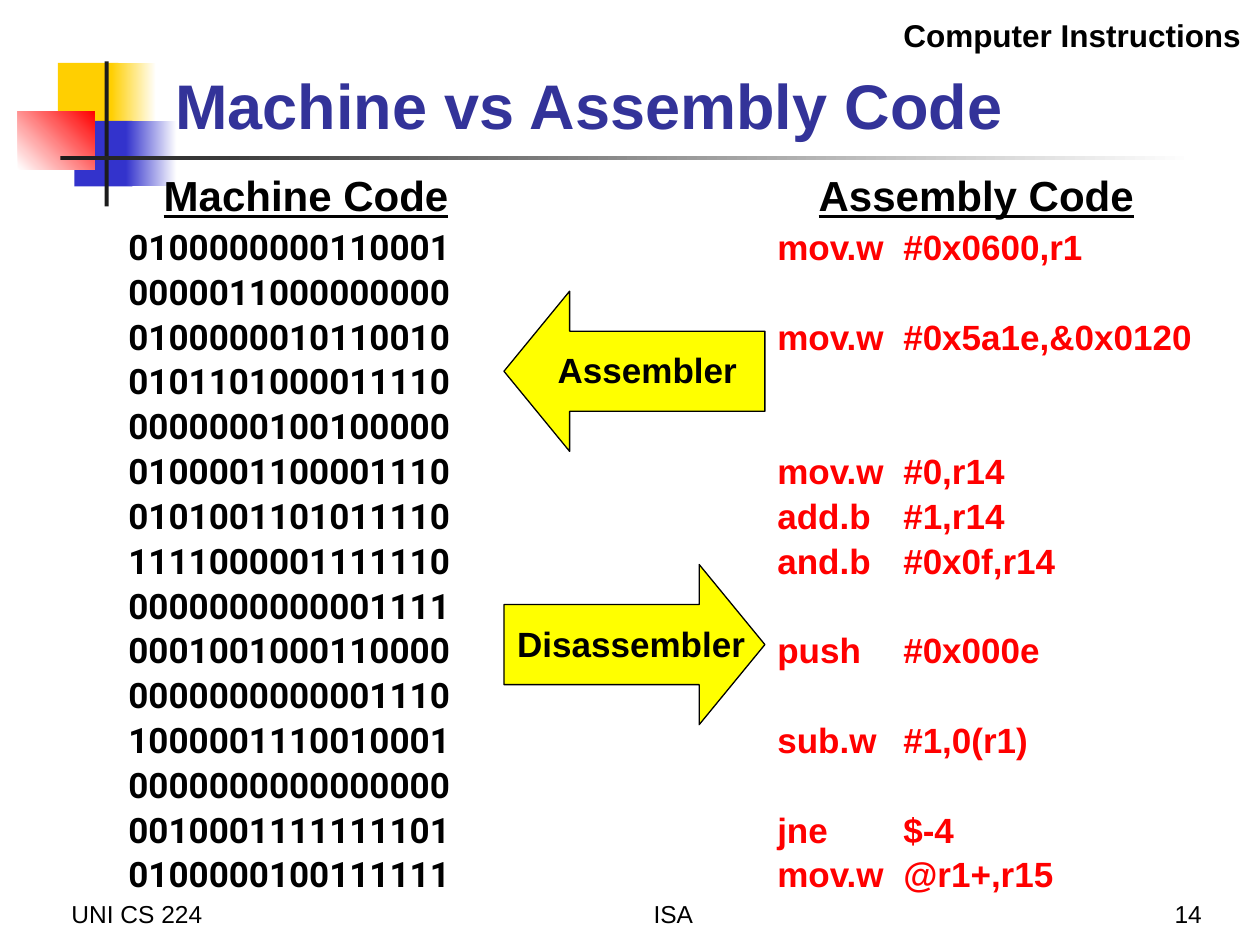
from dataclasses import dataclass
from typing import Optional

from lxml.etree import SubElement
from pptx import Presentation
from pptx.dml.color import RGBColor
from pptx.enum.shapes import MSO_SHAPE
from pptx.enum.text import MSO_ANCHOR, MSO_AUTO_SIZE, PP_ALIGN
from pptx.oxml.ns import qn
from pptx.util import Cm, Pt

COLOURS = {
    "gold": "FFCF01",
    "blue": "3333CC",
    "indigo": "333399",
    "red": "FF0000",
    "charcoal": "1C1C1C",
    "yellow": "FFFF00",
    "black": "000000",
    "white": "FFFFFF",
}

FIRST_ROW_TOP = 4.42
ROW_STEP = 12.65 / 14
TAB_STOP = 2.54


@dataclass
class Block:
    left: float
    top: float
    width: float
    height: float
    start: str
    end: Optional[str] = None
    angle: int = 0


@dataclass
class Label:
    text: str
    left: float
    top: float
    width: float
    height: float
    size: int
    align: PP_ALIGN = PP_ALIGN.LEFT
    colour: str = "black"
    bold: bool = True
    underline: bool = False
    font: str = "Arial"
    anchor: MSO_ANCHOR = MSO_ANCHOR.TOP
    wrap: bool = True


@dataclass
class Instruction:
    row: int
    operation: str
    operands: str
    width: float


@dataclass
class Arrow:
    kind: MSO_SHAPE
    top: float
    label: Label


BLOCKS = [
    Block(1.17, 1.27, 1.22, 1.32, "gold"),
    Block(2.24, 1.27, 0.91, 1.32, "gold", "white"),
    Block(1.5, 2.44, 1.17, 1.32, "blue"),
    Block(2.54, 2.44, 1.02, 1.32, "blue", "white"),
    Block(0.36, 2.24, 1.55, 1.17, "white", "red", 45),
    Block(2.11, 1.24, 0.08, 2.92, "charcoal"),
    Block(1.22, 3.15, 22.86, 0.08, "charcoal", "white"),
]

MACHINE_WORDS = [
    "0100000000110001",
    "0000011000000000",
    "0100000010110010",
    "0101101000011110",
    "0000000100100000",
    "0100001100001110",
    "0101001101011110",
    "1111000001111110",
    "0000000000001111",
    "0001001000110000",
    "0000000000001110",
    "1000001110010001",
    "0000000000000000",
    "0010001111111101",
    "0100000100111111",
]

INSTRUCTIONS = [
    Instruction(0, "mov.w", "#0x0600,r1", 6.65),
    Instruction(2, "mov.w", "#0x5a1e,&0x0120", 8.86),
    Instruction(5, "mov.w", "#0,r14", 5.08),
    Instruction(6, "add.b", "#1,r14", 5.08),
    Instruction(7, "and.b", "#0x0f,r14", 6.1),
    Instruction(9, "push", "#0x000e", 5.79),
    Instruction(11, "sub.w", "#1,0(r1)", 5.56),
    Instruction(13, "jne", "$-4", 4.06),
    Instruction(14, "mov.w", "@r1+,r15", 6.07),
]

ARROWS = [
    Arrow(MSO_SHAPE.RIGHT_ARROW, 11.38,
          Label("Disassembler", 10.06, 12.42, 5.33, 1.09, 20, PP_ALIGN.CENTER)),
    Arrow(MSO_SHAPE.LEFT_ARROW, 5.87,
          Label("Assembler", 10.74, 6.91, 4.62, 1.09, 20, PP_ALIGN.CENTER)),
]

HEADINGS = [
    Label("Computer Instructions", 17.4, 0.2, 7.87, 1.02, 18, PP_ALIGN.RIGHT),
    Label("Machine Code", 2.64, 3.3, 7.06, 1.27, 24, PP_ALIGN.CENTER, underline=True),
    Label("Assembly Code", 15.49, 3.3, 8.38, 1.27, 24, PP_ALIGN.CENTER, underline=True),
]

FOOTERS = [
    ("UNI CS 224", 1.19, 5.28, PP_ALIGN.LEFT),
    ("ISA", 7.06, 13.03, PP_ALIGN.CENTER),
    ("14", 19.2, 5.28, PP_ALIGN.RIGHT),
]


def rgb(name: str) -> RGBColor:
    return RGBColor.from_string(COLOURS[name])


def write_label(box, label: Label) -> None:
    box.left, box.top = Cm(label.left), Cm(label.top)
    box.width, box.height = Cm(label.width), Cm(label.height)
    frame = box.text_frame
    frame.word_wrap = label.wrap
    frame.auto_size = MSO_AUTO_SIZE.NONE
    frame.vertical_anchor = label.anchor
    para = frame.paragraphs[0]
    para.alignment = label.align
    span = para.add_run()
    span.text = label.text
    span.font.name = label.font
    span.font.size = Pt(label.size)
    span.font.bold = label.bold
    span.font.underline = label.underline
    span.font.color.rgb = rgb(label.colour)


def add_label(page, label: Label):
    box = page.shapes.add_textbox(0, 0, 0, 0)
    write_label(box, label)
    return box


def add_block(page, block: Block) -> None:
    shape = page.shapes.add_shape(MSO_SHAPE.RECTANGLE, Cm(block.left), Cm(block.top),
                                  Cm(block.width), Cm(block.height))
    shape.shadow.inherit = False
    shape.line.fill.background()
    if block.end is None:
        shape.fill.solid()
        shape.fill.fore_color.rgb = rgb(block.start)
        return
    shape.fill.gradient()
    shape.fill.gradient_angle = block.angle
    for stop, colour in zip(shape.fill.gradient_stops, (block.start, block.end)):
        stop.color.rgb = rgb(colour)


def add_instruction(page, instruction: Instruction) -> None:
    box = add_label(page, Label(
        f"{instruction.operation}\t{instruction.operands}", 15.42,
        FIRST_ROW_TOP + instruction.row * ROW_STEP, instruction.width, 1.09, 20,
        colour="red", wrap=False))
    properties = box.text_frame.paragraphs[0]._p.get_or_add_pPr()
    tabs = SubElement(properties, qn("a:tabLst"))
    SubElement(tabs, qn("a:tab"), pos=str(Cm(TAB_STOP)), algn="l")


def add_arrow(page, arrow: Arrow) -> None:
    shape = page.shapes.add_shape(arrow.kind, Cm(10.16), Cm(arrow.top), Cm(5.26), Cm(3.23))
    shape.adjustments[0] = 0.5
    shape.adjustments[1] = 0.41
    shape.shadow.inherit = False
    shape.fill.solid()
    shape.fill.fore_color.rgb = rgb("yellow")
    shape.line.color.rgb = rgb("black")
    shape.line.width = Pt(0.75)
    add_label(page, arrow.label)


def main() -> None:
    deck = Presentation()
    deck.slide_width, deck.slide_height = Cm(25.4), Cm(19.05)
    page = deck.slides.add_slide(deck.slide_layouts[5])
    for block in BLOCKS:
        add_block(page, block)
    title = page.shapes.title
    write_label(title, Label("Machine vs Assembly Code", 3.28, 0.58, 21.64, 2.41, 36,
                             colour="indigo", anchor=MSO_ANCHOR.BOTTOM))
    page.shapes._spTree.append(title._element)
    for heading in HEADINGS:
        add_label(page, heading)
    for row, word in enumerate(MACHINE_WORDS):
        add_label(page, Label(word, 2.34, FIRST_ROW_TOP + row * ROW_STEP, 8, 1.12, 20,
                              font="Roboto"))
    for instruction in INSTRUCTIONS:
        add_instruction(page, instruction)
    for arrow in ARROWS:
        add_arrow(page, arrow)
    for text, left, width, align in FOOTERS:
        add_label(page, Label(text, left, 17.58, width, 1.27, 14, align, bold=False,
                              anchor=MSO_ANCHOR.BOTTOM))
    deck.save("out.pptx")


if __name__ == "__main__":
    main()
